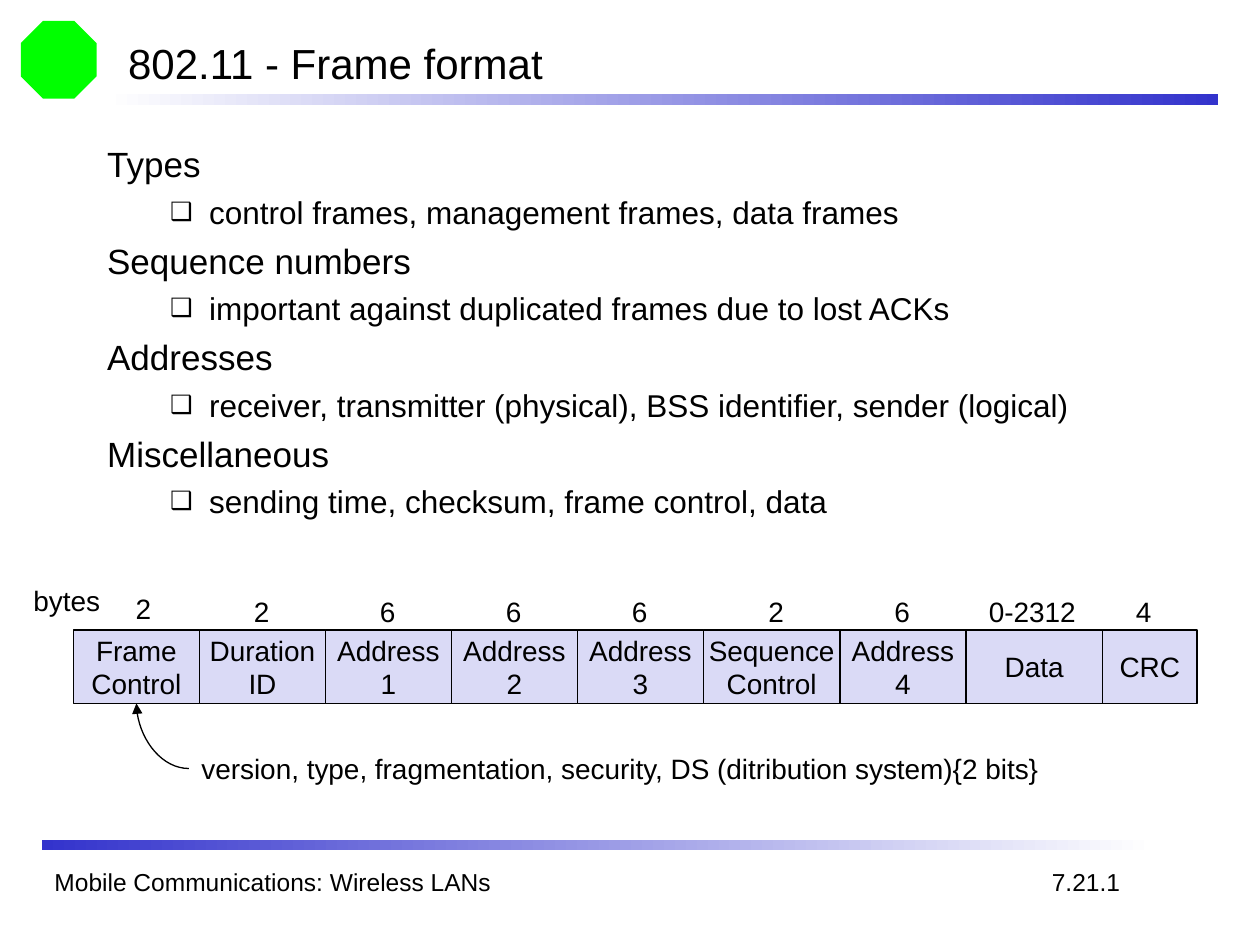
import pptx
import pptx.dml.color
import pptx.enum.dml
import pptx.enum.shapes
import pptx.enum.text
import pptx.oxml
import pptx.oxml.ns
import pptx.util

ALIGN = pptx.enum.text.PP_ALIGN
ANCHOR = pptx.enum.text.MSO_ANCHOR
SHAPE = pptx.enum.shapes.MSO_SHAPE
FIT = pptx.enum.text.MSO_AUTO_SIZE


def color(value):
    """Turn a hex string into a colour."""
    return pptx.dml.color.RGBColor.from_string(value)


def grid(*cells):
    """Turn columns or rows of a twelfth of an inch into lengths."""
    return [pptx.util.Inches(cell / 12) for cell in cells]


def element(tag, **values):
    """Make an empty drawing element with the given attributes."""
    node = pptx.oxml.parse_xml(f"<a:{tag} {pptx.oxml.ns.nsdecls('a')}/>")
    for name, value in values.items():
        node.set(name, str(value))
    return node


class FrameSlide:
    """Holds the style and the slide that is being built."""

    font = "Arial"
    ink = "000000"
    accent = "3333CC"
    paper = "FFFFFF"
    cell_fill = "DADAF6"
    line_width = 0.75

    def __init__(self, deck):
        """Add a slide with a title and a body."""
        self.page = deck.slides.add_slide(deck.slide_layouts[1])

    def format_frame(self, frame, size, align=ALIGN.LEFT, **values):
        """Set the frame's values and the look of its text."""
        for name, value in values.items():
            setattr(frame, name, value)
        for para in frame.paragraphs:
            para.alignment = align
            self.format_font(para, size)

    def format_font(self, para, size):
        """Give every span of a paragraph the font, size and ink."""
        for span in para.runs:
            for name, value in {"name": self.font, "size": pptx.util.Pt(size)}.items():
                setattr(span.font, name, value)
            span.font.color.rgb = color(self.ink)

    def place(self, box, cells):
        """Move a box to left, top, width and height on the grid."""
        for name, value in zip(("left", "top", "width", "height"), grid(*cells)):
            setattr(box, name, value)

    def title(self, text, cells):
        """Fill the title placeholder."""
        box = self.page.shapes.title
        self.place(box, cells)
        box.text_frame.text = text
        self.format_frame(box.text_frame, 24, vertical_anchor=ANCHOR.MIDDLE, auto_size=FIT.NONE)

    def topics(self, topics, cells):
        """Fill the body with headings, each with one bulleted line."""
        box = self.page.placeholders[1]
        self.place(box, cells)
        frame = box.text_frame
        frame.text = "\n".join(line for topic in topics for line in topic)
        self.format_frame(frame, 20, vertical_anchor=ANCHOR.TOP, auto_size=FIT.NONE)
        for index, para in enumerate(frame.paragraphs):
            para.level = index % 2
            size, margin, indent = ((20, 0.38, -0.38), (18, 0.81, -0.31))[para.level]
            self.format_font(para, size)
            para.space_before = pptx.util.Pt(size / 4)
            properties = para._p.get_or_add_pPr()
            for name, value in {"marL": margin, "indent": indent}.items():
                properties.set(name, str(pptx.util.Inches(value)))
            if para.level:
                tint = element("buClr")
                tint.append(element("srgbClr", val=self.ink))
                properties.extend([tint, element("buSzPct", val=80000),
                                   element("buFont", typeface=self.font),
                                   element("buChar", char="❑")])
            else:
                properties.append(element("buNone"))

    def shape(self, kind, cells):
        """Add a preset shape without shadow or line."""
        box = self.page.shapes.add_shape(kind, *grid(*cells))
        box.shadow.inherit = False
        box.line.fill.background()
        return box

    def emblem(self, fill, cells):
        """Add a plain octagon."""
        box = self.shape(SHAPE.OCTAGON, cells)
        box.fill.solid()
        box.fill.fore_color.rgb = color(fill)

    def bar(self, start, end, cells):
        """Add a bar that fades from one colour to another."""
        box = self.shape(SHAPE.RECTANGLE, cells)
        box.fill.gradient()
        box.fill.gradient_angle = 0
        for stop, value in zip(box.fill.gradient_stops, (start, end)):
            stop.color.rgb = color(value)

    def field(self, text, cells):
        """Add one field of the frame."""
        box = self.shape(SHAPE.RECTANGLE, cells)
        box.fill.solid()
        box.fill.fore_color.rgb = color(self.cell_fill)
        box.line.color.rgb = color(self.ink)
        box.line.width = pptx.util.Pt(self.line_width)
        box.text_frame.text = text
        self.format_frame(box.text_frame, 16, ALIGN.CENTER,
                          vertical_anchor=ANCHOR.MIDDLE, word_wrap=False)
        return box

    def label(self, text, cells, size=16, wrap=False, fit=FIT.SHAPE_TO_FIT_TEXT):
        """Add a text box."""
        box = self.page.shapes.add_textbox(*grid(*cells))
        box.text_frame.text = text
        self.format_frame(box.text_frame, size, word_wrap=wrap, auto_size=fit)
        return box

    def curve(self, source, target):
        """Join a source's left side to a target's bottom with a curved arrow."""
        kind = pptx.enum.shapes.MSO_CONNECTOR.CURVE
        arrow = self.page.shapes.add_connector(kind, 0, 0, 0, 0)
        arrow.begin_connect(source, 1)
        arrow.end_connect(target, 2)
        arrow.line.color.rgb = color(self.ink)
        arrow.line.width = pptx.util.Pt(self.line_width)
        arrow.line._get_or_add_ln().append(element("tailEnd", type="triangle"))
        properties = arrow._element.spPr
        properties.prstGeom.set("prst", "curvedConnector2")
        properties.append(element("effectLst"))


def main():
    """Build the frame format slide."""
    deck = pptx.Presentation()
    deck.slide_width, deck.slide_height = grid(120, 90)
    slide = FrameSlide(deck)

    slide.emblem("00FF00", (2, 2, 7.2, 7.4))
    slide.bar(slide.paper, slide.accent, (10, 9, 106, 1))
    slide.bar(slide.accent, slide.paper, (4, 80, 106, 1))
    slide.label("Mobile Communications: Wireless LANs", (4, 82, 81, 4), 14, True, FIT.NONE)
    slide.title("802.11 - Frame format", (11, 3, 102, 6))
    slide.topics([
        ("Types", "control frames, management frames, data frames"),
        ("Sequence numbers", "important against duplicated frames due to lost ACKs"),
        ("Addresses", "receiver, transmitter (physical), BSS identifier, sender (logical)"),
        ("Miscellaneous", "sending time, checksum, frame control, data"),
    ], (9, 13, 107, 38))

    fields = [
        ("Frame\nControl", 12, "2", (11.75, 55.75)),
        ("Duration\nID", 12, "2", (23, 56)),
        ("Address\n1", 12, "6", (35, 56)),
        ("Address\n2", 12, "6", (47, 56)),
        ("Address\n3", 12, "6", (59, 56)),
        ("Sequence\nControl", 13, "2", (72, 56)),
        ("Address\n4", 12, "6", (84, 56)),
        ("Data", 13, "0-2312", (93, 56)),
        ("CRC", 9, "4", (107, 56)),
    ]
    left, boxes = 7, []
    for name, width, count, corner in fields:
        boxes.append(slide.field(name, (left, 60, width, 7)))
        slide.label(count, (*corner, 2.4 + 1.4 * len(count), 4.4))
        left += width
    slide.label("bytes", (2, 55, 8.8, 4.4))

    detail = slide.label(
        "version, type, fragmentation, security, DS (ditribution system){2 bits}",
        (18, 71, 84, 4.4), wrap=True)
    slide.curve(detail, boxes[0])
    slide.label("7.21.1", (99, 82, 8.9, 4), 14)
    deck.save("out.pptx")


if __name__ == "__main__":
    main()
